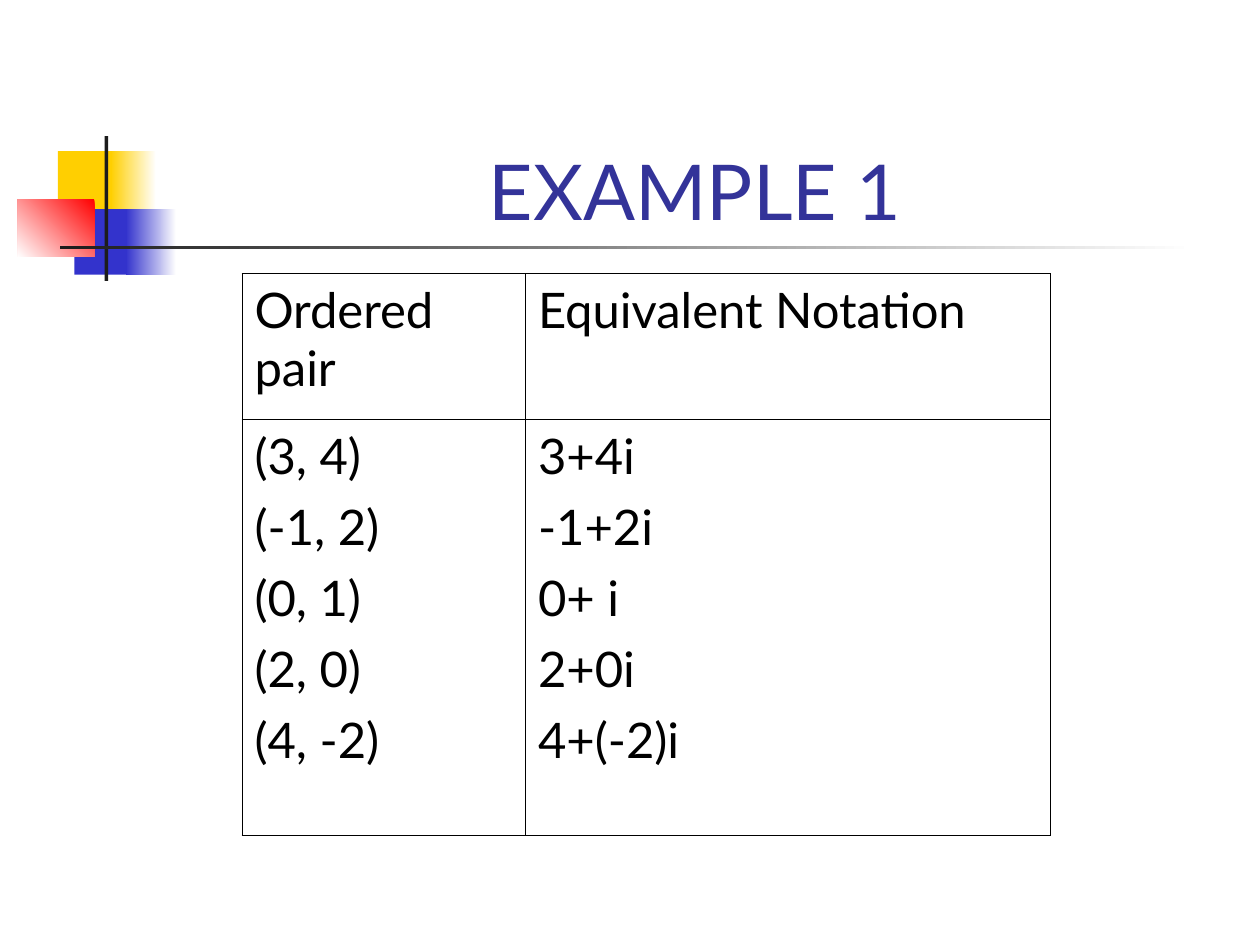
from dataclasses import dataclass

from lxml.etree import SubElement
from pptx import Presentation
from pptx.dml.color import RGBColor
from pptx.enum.shapes import MSO_SHAPE
from pptx.enum.text import MSO_ANCHOR, PP_ALIGN
from pptx.oxml.ns import qn
from pptx.util import Inches, Pt


@dataclass(frozen=True)
class Theme:
    font: str = "Lato"
    title_size: int = 44
    table_size: int = 28
    title: str = "333399"
    text: str = "000000"
    border: str = "000000"
    white: str = "FFFFFF"
    yellow: str = "FFCF01"
    blue: str = "3333CC"
    red: str = "FF0000"
    dark: str = "1C1C1C"


THEME = Theme()


def style_paragraph(paragraph, size, color):
    paragraph.font.name = THEME.font
    paragraph.font.size = Pt(size)
    paragraph.font.color.rgb = RGBColor.from_string(color)


def add_cell_borders(cell):
    properties = cell._tc.get_or_add_tcPr()
    for index, side in enumerate(("lnL", "lnR", "lnT", "lnB")):
        line = properties.makeelement(qn(f"a:{side}"), {"w": str(Pt(0.45))})
        fill = SubElement(line, qn("a:solidFill"))
        SubElement(fill, qn("a:srgbClr"), val=THEME.border)
        properties.insert(index, line)


presentation = Presentation()
presentation.slide_width = Inches(10)
presentation.slide_height = Inches(7.5)
slide = presentation.slides.add_slide(presentation.slide_layouts[5])

# Ornament: left, top, width, height, colours from start to end, gradient angle
ornament = [
    (0.46, 1.2, 0.48, 0.52, [THEME.yellow], None),
    (0.88, 1.2, 0.36, 0.52, [THEME.white, THEME.yellow], 180),
    (0.59, 1.66, 0.46, 0.52, [THEME.blue], None),
    (1, 1.66, 0.4, 0.52, [THEME.white, THEME.blue], 180),
    (0.14, 1.58, 0.61, 0.46, [THEME.red, THEME.white], 225),
    (0.83, 1.08, 0.03, 1.15, [THEME.dark], None),
    (0.48, 1.95, 9, 0.03, [THEME.white, THEME.dark], 180),
]
for left, top, width, height, colors, angle in ornament:
    block = slide.shapes.add_shape(
        MSO_SHAPE.RECTANGLE, Inches(left), Inches(top), Inches(width), Inches(height)
    )
    block.shadow.inherit = False
    block.line.fill.background()
    if angle is None:
        block.fill.solid()
        block.fill.fore_color.rgb = RGBColor.from_string(colors[0])
    else:
        block.fill.gradient()
        block.fill.gradient_angle = angle
        for stop, color, position in zip(block.fill.gradient_stops, colors, (0, 1)):
            stop.color.rgb = RGBColor.from_string(color)
            stop.position = position

title = slide.shapes.title
title.left, title.top = Inches(1.26), Inches(0.67)
title.width, title.height = Inches(8.52), Inches(1.25)
title.text_frame.text = "EXAMPLE 1"
title.text_frame.vertical_anchor = MSO_ANCHOR.BOTTOM
title.text_frame.paragraphs[0].alignment = PP_ALIGN.CENTER
style_paragraph(title.text_frame.paragraphs[0], THEME.title_size, THEME.title)

notation_rows = [
    (["Ordered pair"], ["Equivalent Notation"]),
    (
        ["(3, 4)", "(-1, 2)", "(0, 1)", "(2, 0)", "(4, -2)"],
        ["3+4i", "-1+2i", "0+ i", "2+0i", "4+(-2)i"],
    ),
]
column_widths = [2.25, 4.17]
row_heights = [1.16, 3.3]
notation = slide.shapes.add_table(
    len(row_heights), len(column_widths), Inches(1.92), Inches(2.17),
    Inches(sum(column_widths)), Inches(sum(row_heights)),
).table
notation.first_row = False
notation.horz_banding = False
for column, width in zip(notation.columns, column_widths):
    column.width = Inches(width)
for row, height, contents in zip(notation.rows, row_heights, notation_rows):
    row.height = Inches(height)
    for cell, lines in zip(row.cells, contents):
        cell.fill.background()
        add_cell_borders(cell)
        cell.text = "\n".join(lines)
        for index, paragraph in enumerate(cell.text_frame.paragraphs):
            paragraph.space_before = Pt(7 if index else 0)
            style_paragraph(paragraph, THEME.table_size, THEME.text)

presentation.save("out.pptx")
